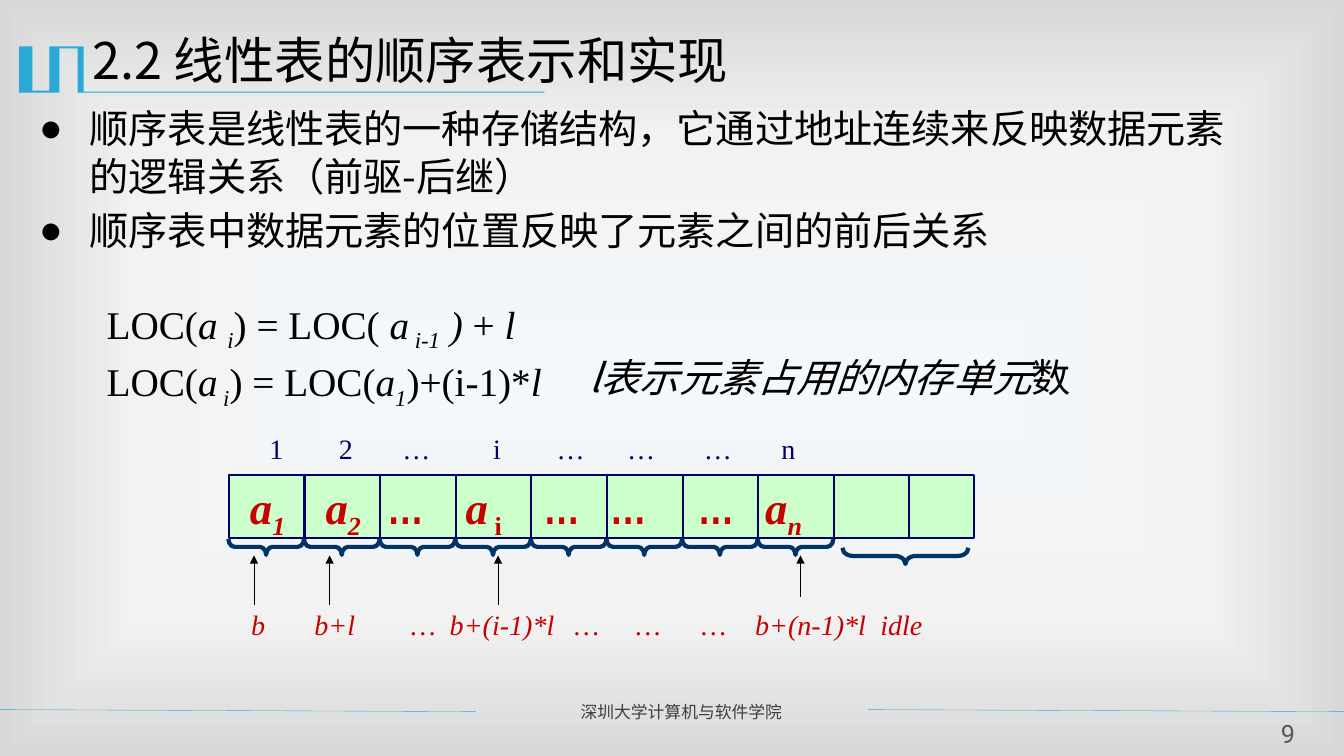
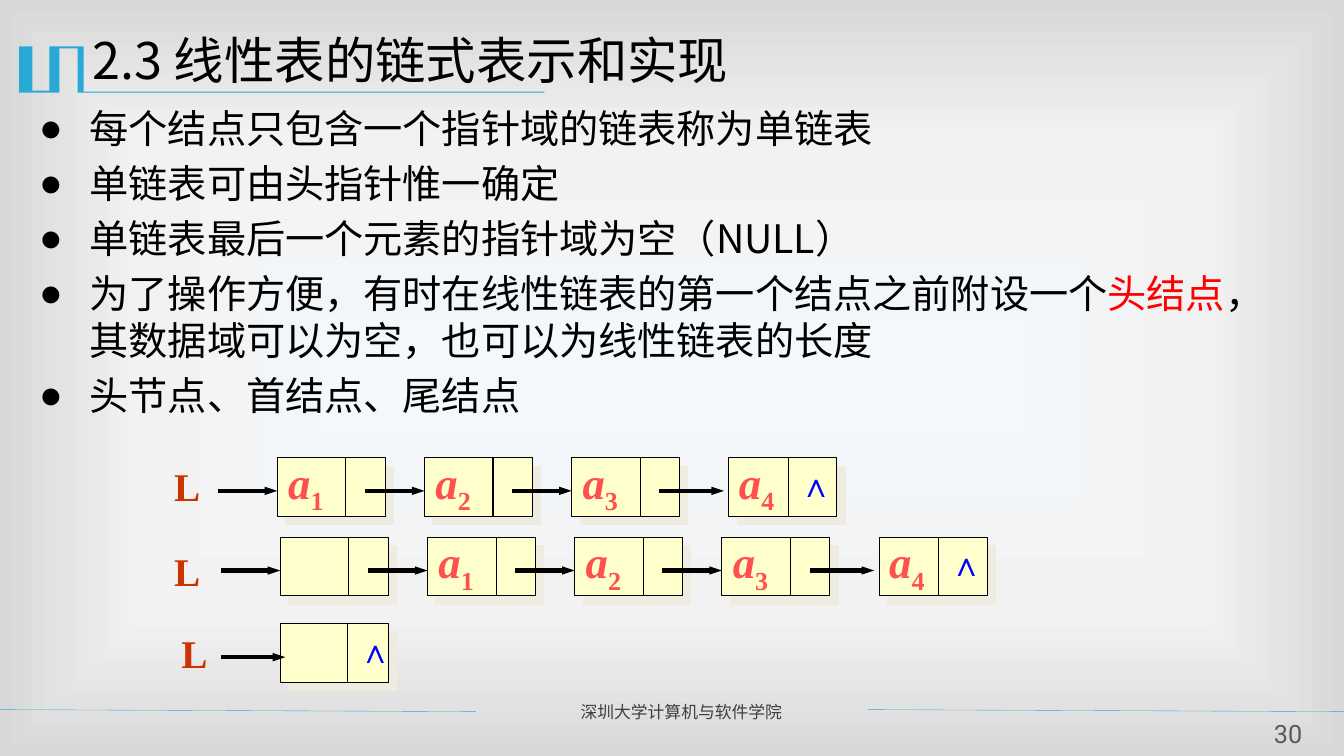
from dataclasses import dataclass
from typing import NamedTuple, Optional

from lxml import etree
from pptx import Presentation
from pptx import util as u
from pptx.dml.color import RGBColor
from pptx.enum import shapes, text
from pptx.oxml import parse_xml
from pptx.oxml.ns import nsdecls, qn

PX = 9144  # EMU; 100 px to the inch


class Box(NamedTuple):
    left: int
    top: int
    width: int
    height: int


class Style(NamedTuple):
    font: str
    size: int
    colour: str
    bold: bool = False
    italic: bool = False


class Run(NamedTuple):
    text: str
    italic: Optional[bool] = None
    subscript: bool = False
    colour: Optional[str] = None
    font: Optional[str] = None


class Label(NamedTuple):
    text: str
    centre: int


class Cell(NamedTuple):
    runs: tuple[Run, ...]
    inset: int


class Chain(NamedTuple):
    label: tuple[int, int]
    left: int
    top: int
    values: tuple[str, ...]


@dataclass(frozen=True)
class Theme:
    accent: str = "28A9D6"
    black: str = "000000"
    red: str = "FF0000"
    ellipsis: str = "CC0000"
    navy: str = "000066"
    brace: str = "003366"
    cell: str = "CCFFCC"
    node: str = "FFFFCC"
    shadow: str = "EEECE1"
    background: tuple[tuple[int, str], ...] = ((0, "F4F8FB"), (63, "F2F2F2"), (100, "D8D8D8"))
    serif: str = "Times New Roman"
    narrow: str = "Arial Narrow"
    title: Style = Style("Noto Sans CJK SC", 36, "000000")
    body: Style = Style("Noto Sans CJK SC", 28, "000000")
    note: Style = Style("Noto Sans CJK SC", 28, "000000", False, True)
    formula: Style = Style("Times New Roman", 28, "000000")
    footer: Style = Style("Roboto", 12, "3F3F3F")
    page: Style = Style("Roboto", 18, "595959")
    index: Style = Style("Times New Roman", 20, "000066")
    element: Style = Style("Times New Roman", 32, "C80000", True, True)
    address: Style = Style("Times New Roman", 20, "C80000", False, True)
    value: Style = Style("Times New Roman", 32, "FF5050", True, True)
    null: Style = Style("Times New Roman", 24, "0000FF", True)
    list_name: Style = Style("Times New Roman", 28, "CC3300", True)


THEME = Theme()
WAVE = ((82, 46), (83, 46), (83, 91), (540, 91), (540, 92), (77, 92), (77, 48), (59, 48),
        (59, 92), (19, 92), (19, 46), (32, 46), (32, 90), (49, 90), (49, 46))
BODY = Box(29, 99, 1213, 563)


def px(length: int) -> u.Emu:
    return u.Emu(length * PX)


def rgb(colour: str) -> RGBColor:
    return RGBColor.from_string(colour)


def set_typeface(font, properties, name: str) -> None:
    """Name the typeface for Latin and East Asian characters alike."""
    font.name = name
    etree.SubElement(properties, qn("a:ea")).set("typeface", name)


def fill_paragraph(paragraph, runs: tuple[Run, ...], style: Style) -> None:
    font = paragraph.font
    font.size, font.bold, font.italic = u.Pt(style.size), style.bold, style.italic
    font.color.rgb = rgb(style.colour)
    set_typeface(font, paragraph._p.pPr.find(qn("a:defRPr")), style.font)
    for part in runs:
        run = paragraph.add_run()
        run.text = part.text
        properties = run._r.get_or_add_rPr()
        if part.italic is not None:
            run.font.italic = part.italic
        if part.subscript:
            properties.set("baseline", "-25000")
        if part.colour:
            run.font.color.rgb = rgb(part.colour)
        if part.font:
            set_typeface(run.font, properties, part.font)


def set_indent(paragraph, margin: int, first: int = 0) -> None:
    properties = paragraph._p.get_or_add_pPr()
    properties.set("marL", str(px(margin)))
    properties.set("indent", str(px(first)))


def add_text(slide, box: Box, runs: tuple[Run, ...], style: Style, align=text.PP_ALIGN.LEFT,
             wrap: bool = True):
    frame = slide.shapes.add_textbox(*map(px, box)).text_frame
    frame.word_wrap = wrap
    paragraph = frame.paragraphs[0]
    paragraph.alignment = align
    fill_paragraph(paragraph, runs, style)
    return frame


def add_line(slide, start: tuple[int, int], end: tuple[int, int], colour: str, width: float,
             head: Optional[str] = None) -> None:
    """Draw a line; head is the width of its arrowhead (sm, med or lg)."""
    line = slide.shapes.add_connector(shapes.MSO_CONNECTOR.STRAIGHT, *map(px, start + end))
    line.line.color.rgb = rgb(colour)
    line.line.width = u.Pt(width)
    if head:
        etree.SubElement(line.line._get_or_add_ln(), qn("a:tailEnd"), type="triangle", w=head)
    etree.SubElement(line._element.spPr, qn("a:effectLst"))


def add_preset(slide, preset, box: Box, line: str, width: float, fill: Optional[str] = None):
    shape = slide.shapes.add_shape(preset, *map(px, box))
    shape.shadow.inherit = False
    if fill:
        shape.fill.solid()
        shape.fill.fore_color.rgb = rgb(fill)
    else:
        shape.fill.background()
    shape.line.color.rgb = rgb(line)
    shape.line.width = u.Pt(width)
    return shape


def set_background(master) -> None:
    """Give every slide a gradient that spreads from the centre."""
    fill = master.background.fill
    fill.solid()
    stops = "".join(f'<a:gs pos="{position * 1000}"><a:srgbClr val="{colour}"/></a:gs>'
                    for position, colour in THEME.background)
    gradient = parse_xml(
        f'<a:gradFill {nsdecls("a")} rotWithShape="1"><a:gsLst>{stops}</a:gsLst><a:path path="rect">'
        '<a:fillToRect l="50000" t="50000" r="50000" b="50000"/></a:path></a:gradFill>')
    properties = master._element.cSld.find(qn("p:bg")).find(qn("p:bgPr"))
    properties.replace(properties.find(qn("a:solidFill")), gradient)


def start_slide(presentation, title: str, page: int):
    slide = presentation.slides.add_slide(presentation.slide_layouts[6])
    builder = slide.shapes.build_freeform(*WAVE[0], scale=PX)
    builder.add_line_segments(WAVE[1:])
    wave = builder.convert_to_shape()
    wave.shadow.inherit = False
    wave.fill.solid()
    wave.fill.fore_color.rgb = rgb(THEME.accent)
    wave.line.fill.background()
    for left, right in ((-1, 472), (861, 1333)):
        add_line(slide, (left, 704), (right, 706), THEME.accent, 0.25)
    add_text(slide, Box(566, 691, 285, 30), (Run("深圳大学计算机与软件学院"),), THEME.footer)
    add_text(slide, Box(82, 24, 1200, 87), (Run(title),), THEME.title)
    number = add_text(slide, Box(1248, 713, 59, 31), (Run(str(page)),), THEME.page,
                      text.PP_ALIGN.CENTER)
    number.margin_left = number.margin_right = number.margin_top = number.margin_bottom = 0
    return slide


def add_bullets(slide, bullets: tuple[tuple[Run, ...], ...]):
    frame = slide.shapes.add_textbox(*map(px, BODY)).text_frame
    frame.word_wrap = True
    for number, runs in enumerate(bullets):
        paragraph = frame.add_paragraph() if number else frame.paragraphs[0]
        paragraph.space_before = u.Pt(5.6)
        set_indent(paragraph, 50, -50)
        etree.SubElement(paragraph._p.pPr, qn("a:buFont")).set("typeface", THEME.serif)
        etree.SubElement(paragraph._p.pPr, qn("a:buChar")).set("char", "●")
        fill_paragraph(paragraph, runs, THEME.body)
    return frame


def add_formulas(slide, frame) -> None:
    a = Run("a", True)
    formulas = (
        (33, (Run("LOC("), Run("a ", True), Run("i", True, True), Run(") = LOC("),
              Run(" a", True), Run(" i-1", True, True), Run(" ) ", True), Run("+ "),
              Run("l", True))),
        (3, (Run("LOC("), a, Run(" i", True, True), Run(") = LOC("), a, Run("1", True, True),
             Run(")+(i-1)*"), Run("l", True))),
    )
    for space, runs in formulas:
        paragraph = frame.add_paragraph()
        paragraph.space_before = u.Pt(space)
        set_indent(paragraph, 67)
        fill_paragraph(paragraph, runs, THEME.formula)
    add_text(slide, Box(575, 346, 560, 57),
             (Run("l表示元素占用的内存单元"), Run("数", False)), THEME.note)


def add_labels(slide, labels: tuple[Label, ...], top: int, style: Style) -> None:
    for label in labels:
        add_text(slide, Box(label.centre - 70, top, 140, 40), (Run(label.text),), style,
                 text.PP_ALIGN.CENTER)


def add_array(slide) -> None:
    left, top, pitch, height = 227, 471, 75, 63
    dots = (Run("…", False, colour=THEME.ellipsis, font=THEME.narrow),)
    a = Run("a")
    cells = (Cell((a, Run("1", subscript=True)), 21), Cell((a, Run("2", subscript=True)), 21),
             Cell(dots, 7), Cell((a, Run(" i", False, True)), 10), Cell(dots, 12),
             Cell(dots, 3), Cell(dots, 15), Cell((a, Run("n", subscript=True)), 7))
    add_preset(slide, shapes.MSO_SHAPE.RECTANGLE, Box(left, top, 739, height),
               THEME.navy, 1.5, THEME.cell)
    for divider in range(left + pitch, left + 10 * pitch, pitch):
        add_line(slide, (divider, top), (divider, top + height), THEME.navy, 1.5)
    for number, cell in enumerate(cells):
        x = left + number * pitch
        add_text(slide, Box(x + cell.inset - 10, top, pitch, height), cell.runs,
                 THEME.element, wrap=False)
        add_brace(slide, Box(x + 29, 505, 16, pitch), 0.39)
    add_brace(slide, Box(890, 489, 16, 125), 0.65)
    for x, bottom in ((252, 600), (327, 600), (494, 600), (794, 592)):
        add_line(slide, (x, bottom), (x, 551), THEME.black, 0.75, "med")


def add_brace(slide, box: Box, curl: float) -> None:
    brace = add_preset(slide, shapes.MSO_SHAPE.LEFT_BRACE, box, THEME.brace, 3)
    brace.rotation = 270
    brace.adjustments[0], brace.adjustments[1] = curl, 0.5


def add_node(slide, left: int, top: int, divider: int) -> None:
    node = add_preset(slide, shapes.MSO_SHAPE.RECTANGLE, Box(left, top, 107, 58),
                      THEME.black, 0.75, THEME.node)
    effects = node._element.spPr.find(qn("a:effectLst"))
    shadow = etree.SubElement(effects, qn("a:outerShdw"), dist=str(u.Pt(8.5)), dir="2700000")
    etree.SubElement(shadow, qn("a:srgbClr")).set("val", THEME.shadow)
    add_line(slide, (left + divider, top), (left + divider, top + 58), THEME.black, 0.75)


def add_chain(slide, chain: Chain) -> None:
    """Draw a linked list; an empty value is a head node."""
    top = chain.top
    add_text(slide, Box(*chain.label, 46, 57), (Run("L"),), THEME.list_name, wrap=False)
    for number, value in enumerate(chain.values):
        slot = chain.left + number * 146
        last = number == len(chain.values) - 1
        shifted = last and number > 0
        left = slot + 10 if shifted else slot
        divider = 59 if shifted else 67 if last else 68
        add_node(slide, left, top, divider)
        start = slot - 59
        add_line(slide, (start, top + 33), (start + (64 if last else 59), top + 33),
                 THEME.black, 3, "sm")
        if value:
            add_text(slide, Box(left if last else left + 1, top - 8, 57, 64),
                     (Run("a"), Run(value, False, True)), THEME.value, wrap=False)
        if last:
            add_text(slide, Box(left + divider + 1, top + 1, 47, 50), (Run("∧"),), THEME.null)


def add_sequential_slide(presentation) -> None:
    slide = start_slide(presentation, "2.2 线性表的顺序表示和实现", 9)
    frame = add_bullets(slide, (
        (Run("顺序表是线性表的一种存储结构，它通过地址连续来反映数据元素的逻辑关系（前驱-后继）"),),
        (Run("顺序表中数据元素的位置反映了元素之间的前后关系"),)))
    add_formulas(slide, frame)
    add_array(slide)
    add_labels(slide, (Label("1", 274), Label("2", 343), Label("…", 413), Label("i", 493),
                       Label("…", 566), Label("…", 636), Label("…", 712), Label("n", 782)),
               423, THEME.index)
    add_labels(slide, (Label("b", 256), Label("b+l", 332), Label("…", 420),
                       Label("b+(i-1)*l", 498), Label("…", 582), Label("…", 643),
                       Label("…", 708), Label("b+(n-1)*l", 804), Label("idle", 894)),
               598, THEME.address)


def add_linked_slide(presentation) -> None:
    slide = start_slide(presentation, "2.3 线性表的链式表示和实现", 30)
    add_bullets(slide, (
        (Run("每个结点只包含一个指针域的链表称为单链表"),),
        (Run("单链表可由头指针惟一确定"),),
        (Run("单链表最后一个元素的指针域为空（NULL）"),),
        (Run("为了操作方便，有时在线性链表的第一个结点之前附设一个"),
         Run("头结点", colour=THEME.red), Run("，其数据域可以为空，也可以为线性链表的长度")),
        (Run("头节点、首结点、尾结点"),)))
    for chain in (Chain((163, 454), 275, 454, ("1", "2", "3", "4")),
                  Chain((163, 538), 278, 533, ("", "1", "2", "3", "4")),
                  Chain((170, 619), 278, 619, ("",))):
        add_chain(slide, chain)


def main() -> None:
    presentation = Presentation()
    presentation.slide_width, presentation.slide_height = px(1333), px(750)
    set_background(presentation.slide_master)
    add_sequential_slide(presentation)
    add_linked_slide(presentation)
    presentation.save("out.pptx")


if __name__ == "__main__":
    main()
